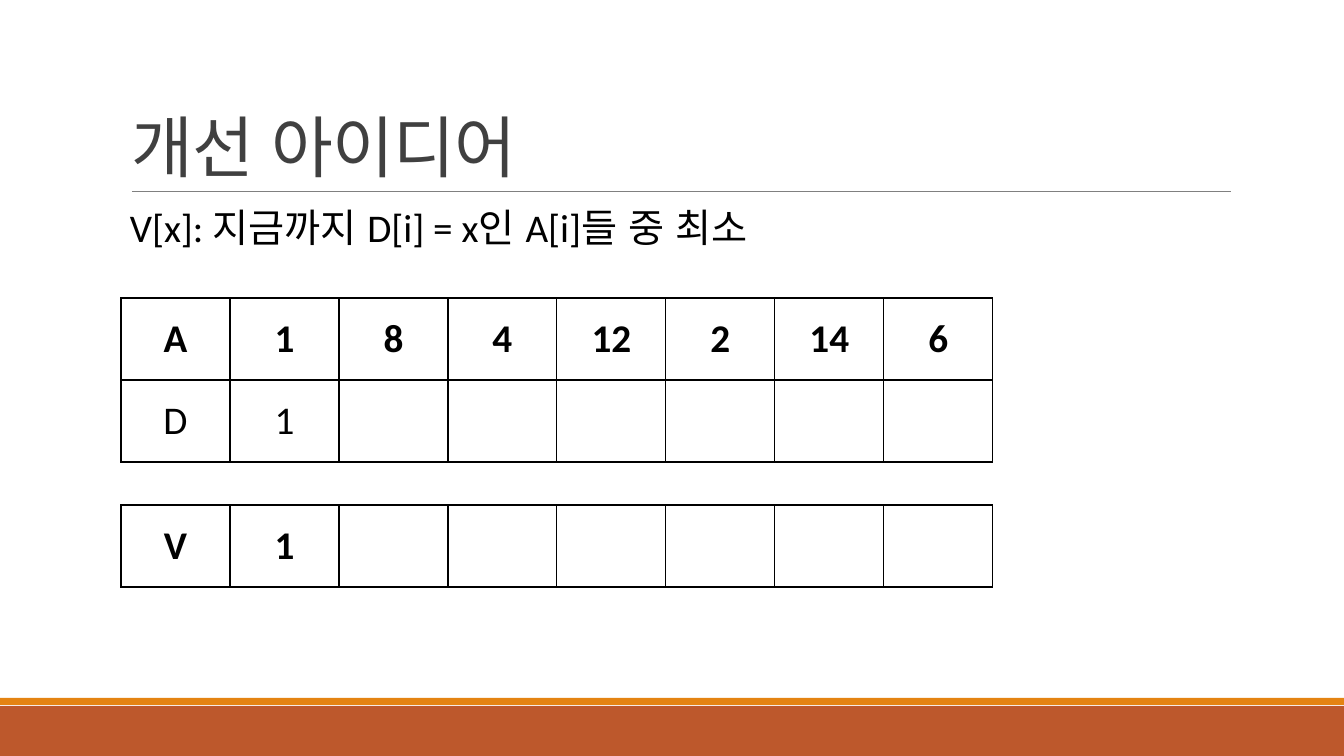
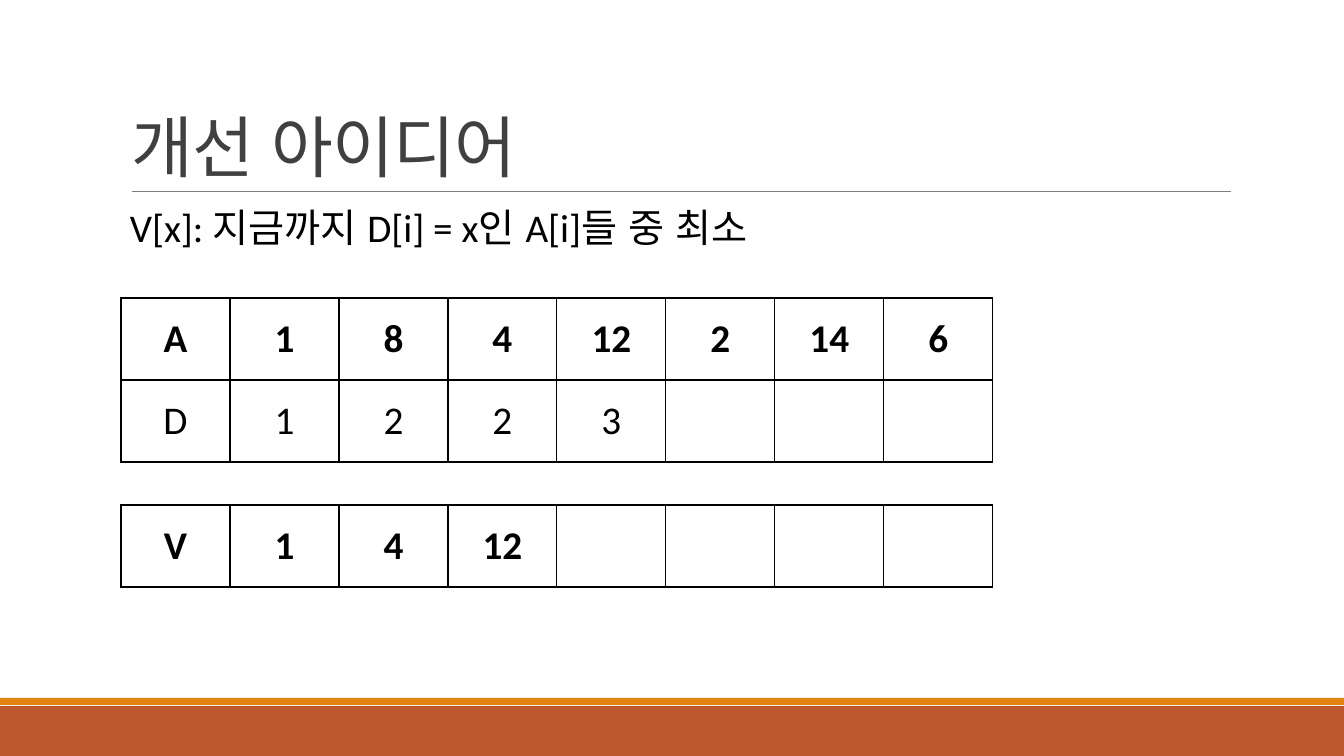
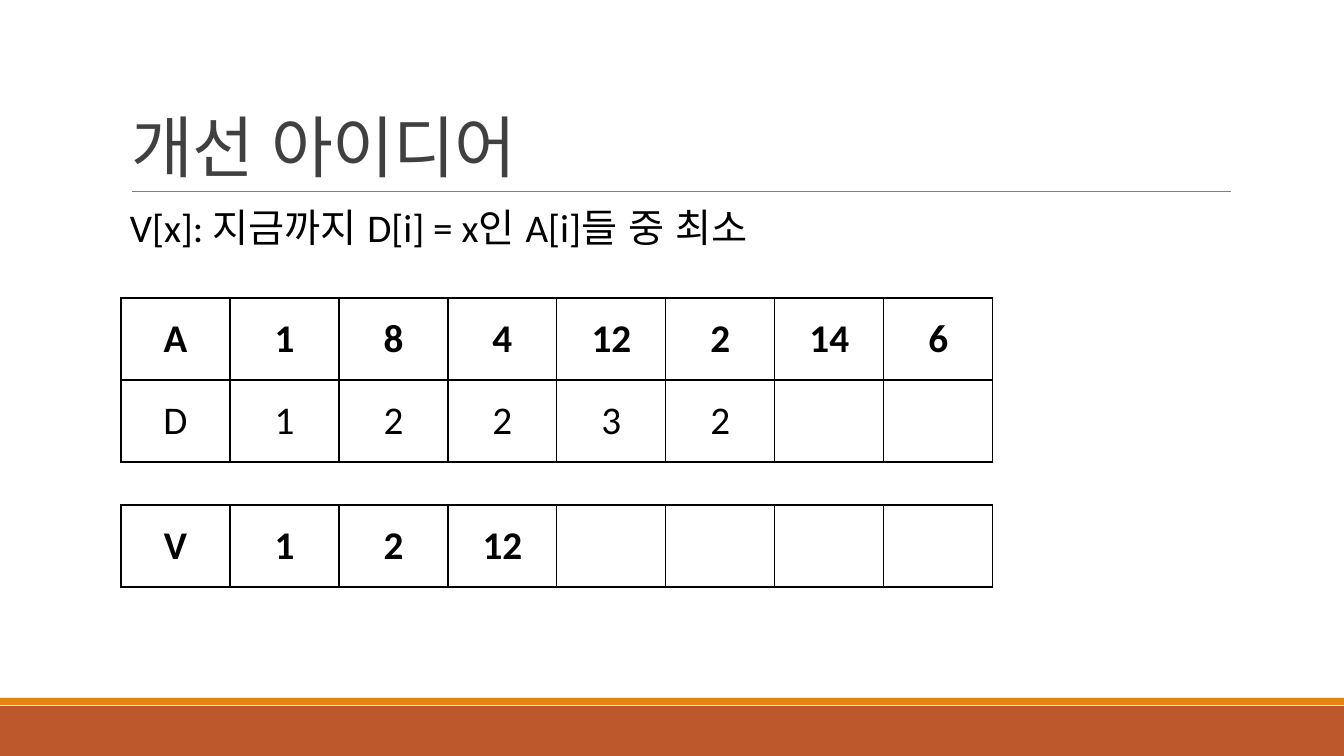
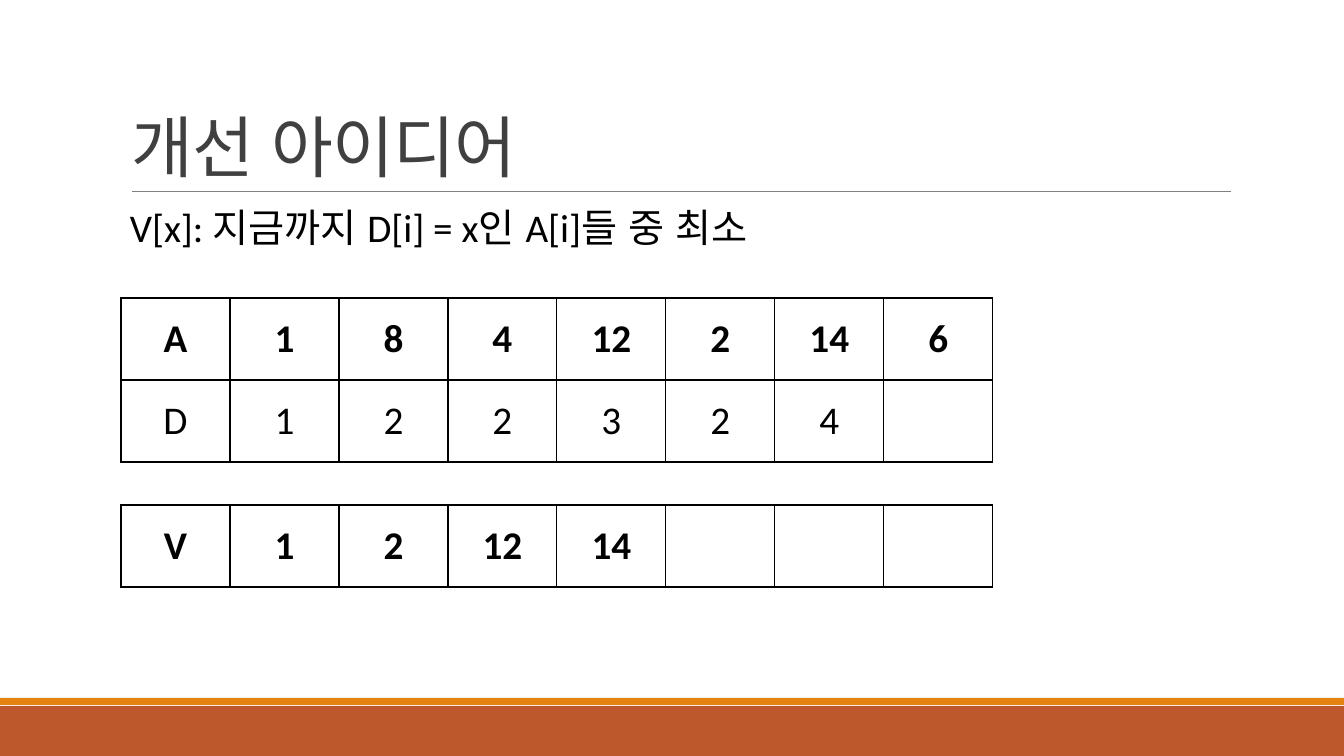
import pptx
import pptx.util
import pptx.dml.color
import pptx.enum.lang
import pptx.enum.shapes
import pptx.enum.text
import pptx.oxml
import pptx.oxml.ns

RGB = pptx.dml.color.RGBColor
Pt = pptx.util.Pt
ALIGN = pptx.enum.text.PP_ALIGN
ANCHOR = pptx.enum.text.MSO_ANCHOR

# Content
TITLE = "개선 아이디어"
RULE_TEXT = " V[x]: 지금까지 D[i] = x인 A[i]들 중 최소"
ROW_A = ["A", 1, 8, 4, 12, 2, 14, 6]
STEPS = [  # rows D and V on each slide
    (["D", 1], ["V", 1]),
    (["D", 1, 2, 2, 3], ["V", 1, 4, 12]),
    (["D", 1, 2, 2, 3, 2], ["V", 1, 2, 12]),
    (["D", 1, 2, 2, 3, 2, 4], ["V", 1, 2, 12, 14]),
]

# Colours and text formats
WHITE = RGB(0xFF, 0xFF, 0xFF)
BLACK = RGB(0x00, 0x00, 0x00)
DARK = RGB(0x40, 0x40, 0x40)
GREY = RGB(0x80, 0x80, 0x80)
ORANGE = RGB(0xE4, 0x83, 0x12)
RUST = RGB(0xBD, 0x58, 0x2C)
KOREAN = pptx.enum.lang.MSO_LANGUAGE_ID.KOREAN
TITLE_FONT = {"name": "Calibri", "size": Pt(48), "language_id": KOREAN}
BODY_FONT = {"name": "Calibri", "size": Pt(28), "language_id": KOREAN}
CELL_FONT = {"name": "Calibri", "size": Pt(28)}
TITLE_PARA = {"alignment": ALIGN.LEFT, "line_spacing": 0.85}
BODY_PARA = {"alignment": ALIGN.LEFT, "line_spacing": 0.9,
             "space_before": Pt(12), "space_after": Pt(2)}

# Geometry in px
SLIDE_W, SLIDE_H = 1344, 756
LEFT, TEXT_W = 121, 1109
TITLE_BOX = (LEFT, 31, TEXT_W, 160)
BODY_BOX = (LEFT, 204, TEXT_W, 444)
TITLE_LINE = (132, 191, 1231, 191)
BANDS = [((0, 706, SLIDE_W, 50), RUST), ((0, 698, SLIDE_W, 7), ORANGE)]
AD_TOP, V_TOP = 298, 505
CELL_W, CELL_H = 109, 82


def px(*lengths):
    return [pptx.util.Emu(round(n * 914400 / 100.8)) for n in lengths]


def apply(obj, values):
    for key, value in values.items():
        setattr(obj, key, value)


def write(p, text, font, color, para):
    apply(p, para)
    r = p.add_run()
    r.text = str(text)
    apply(r.font, font)
    r.font.color.rgb = color
    return r


def decorate_layout(layout, sl):
    """Draw the bands and title line, then hand them to the shared layout."""
    for ph in list(layout.placeholders)[1:]:
        ph.element.getparent().remove(ph.element)
    parts = []
    for box, color in BANDS:
        sp = sl.shapes.add_shape(pptx.enum.shapes.MSO_SHAPE.RECTANGLE, *px(*box))
        sp.shadow.inherit = False
        sp.fill.solid()
        sp.fill.fore_color.rgb = color
        sp.line.fill.background()
        parts.append(sp)
    line = sl.shapes.add_connector(
        pptx.enum.shapes.MSO_CONNECTOR.STRAIGHT, *px(*TITLE_LINE))
    line.line.color.rgb = GREY
    line.line.width = Pt(0.5)
    line.element.spPr.append(pptx.oxml.parse_xml(
        f"<a:effectLst {pptx.oxml.ns.nsdecls('a')}/>"))
    parts.append(line)
    for part in parts:
        layout.shapes.element.append(part.element)


def add_title(sl):
    sp = sl.shapes.title
    apply(sp, dict(zip(("left", "top", "width", "height"), px(*TITLE_BOX))))
    tf = sp.text_frame
    apply(tf, {"vertical_anchor": ANCHOR.BOTTOM, "word_wrap": True,
               "auto_size": pptx.enum.text.MSO_AUTO_SIZE.NONE})
    r = write(tf.paragraphs[0], TITLE, TITLE_FONT, DARK, TITLE_PARA)
    r.font._element.set("spc", "-50")


def add_body(sl):
    tf = sl.shapes.add_textbox(*px(*BODY_BOX)).text_frame
    apply(tf, {"word_wrap": True, "margin_left": 0, "margin_right": 0})
    write(tf.paragraphs[0], RULE_TEXT, BODY_FONT, BLACK, BODY_PARA)


def format_cell(cell):
    tcPr = cell._tc.get_or_add_tcPr()
    for side in "LRTB":
        tcPr.append(pptx.oxml.parse_xml(
            f"<a:ln{side} {pptx.oxml.ns.nsdecls('a')} w='12700'><a:solidFill>"
            f"<a:srgbClr val='{BLACK}'/></a:solidFill></a:ln{side}>"))
    cell.fill.solid()
    cell.fill.fore_color.rgb = WHITE
    cell.vertical_anchor = ANCHOR.MIDDLE


def add_grid(sl, top, rows):
    """The first row is bold; short rows leave empty cells."""
    n = len(ROW_A)
    table = sl.shapes.add_table(
        len(rows), n, *px(LEFT, top, n * CELL_W, len(rows) * CELL_H)).table
    apply(table, {"first_row": False, "horz_banding": False})
    for i, values in enumerate(rows):
        for j in range(n):
            cell = table.cell(i, j)
            format_cell(cell)
            if j < len(values):
                write(cell.text_frame.paragraphs[0], values[j],
                      {**CELL_FONT, "bold": i == 0}, BLACK,
                      {"alignment": ALIGN.CENTER})


def main():
    prs = pptx.Presentation()
    prs.slide_width, prs.slide_height = px(SLIDE_W, SLIDE_H)
    layout = prs.slide_layouts[5]
    for k, (row_d, row_v) in enumerate(STEPS):
        sl = prs.slides.add_slide(layout)
        if k == 0:
            decorate_layout(layout, sl)
        add_title(sl)
        add_body(sl)
        add_grid(sl, AD_TOP, [ROW_A, row_d])
        add_grid(sl, V_TOP, [row_v])
    prs.save("out.pptx")


if __name__ == "__main__":
    main()
